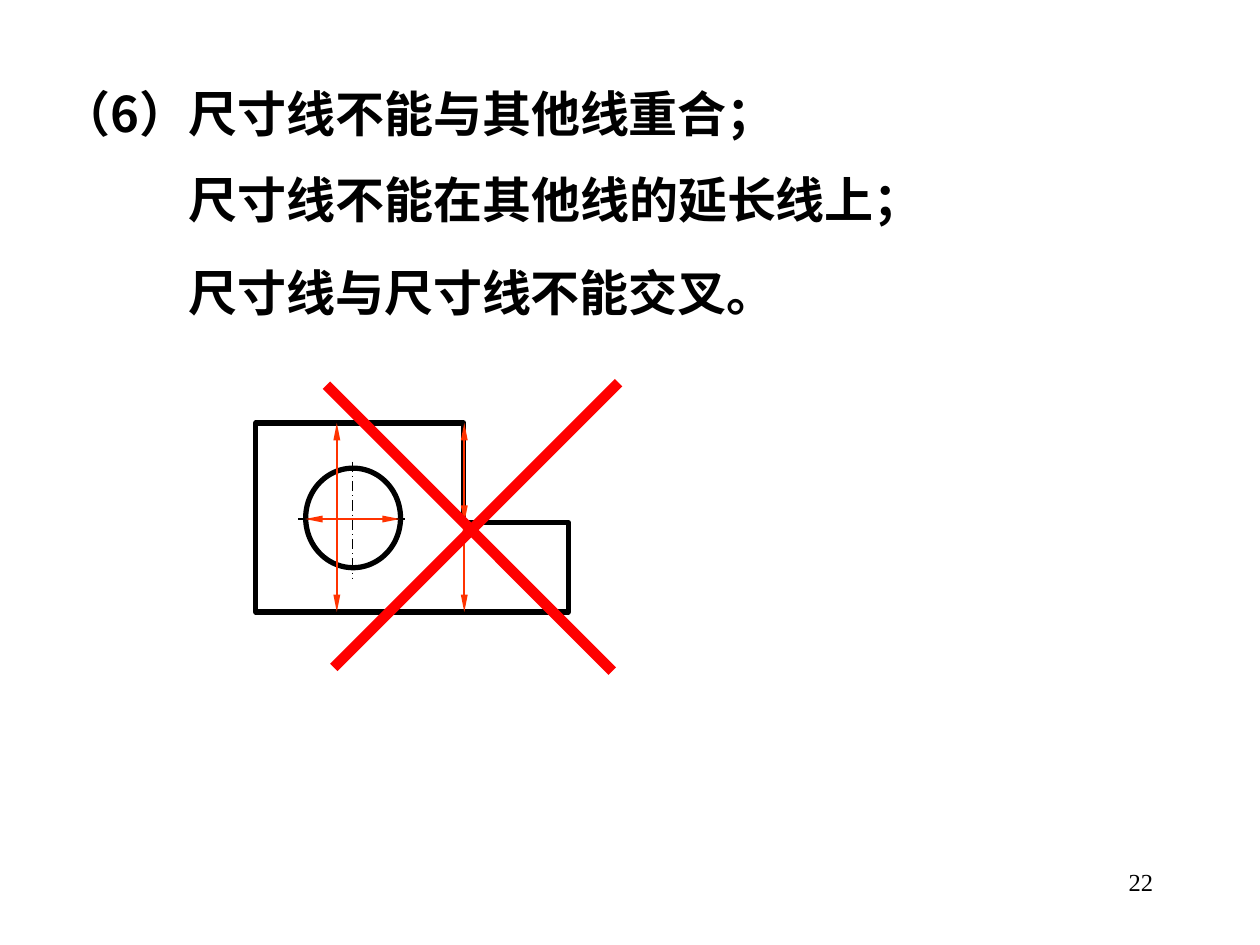
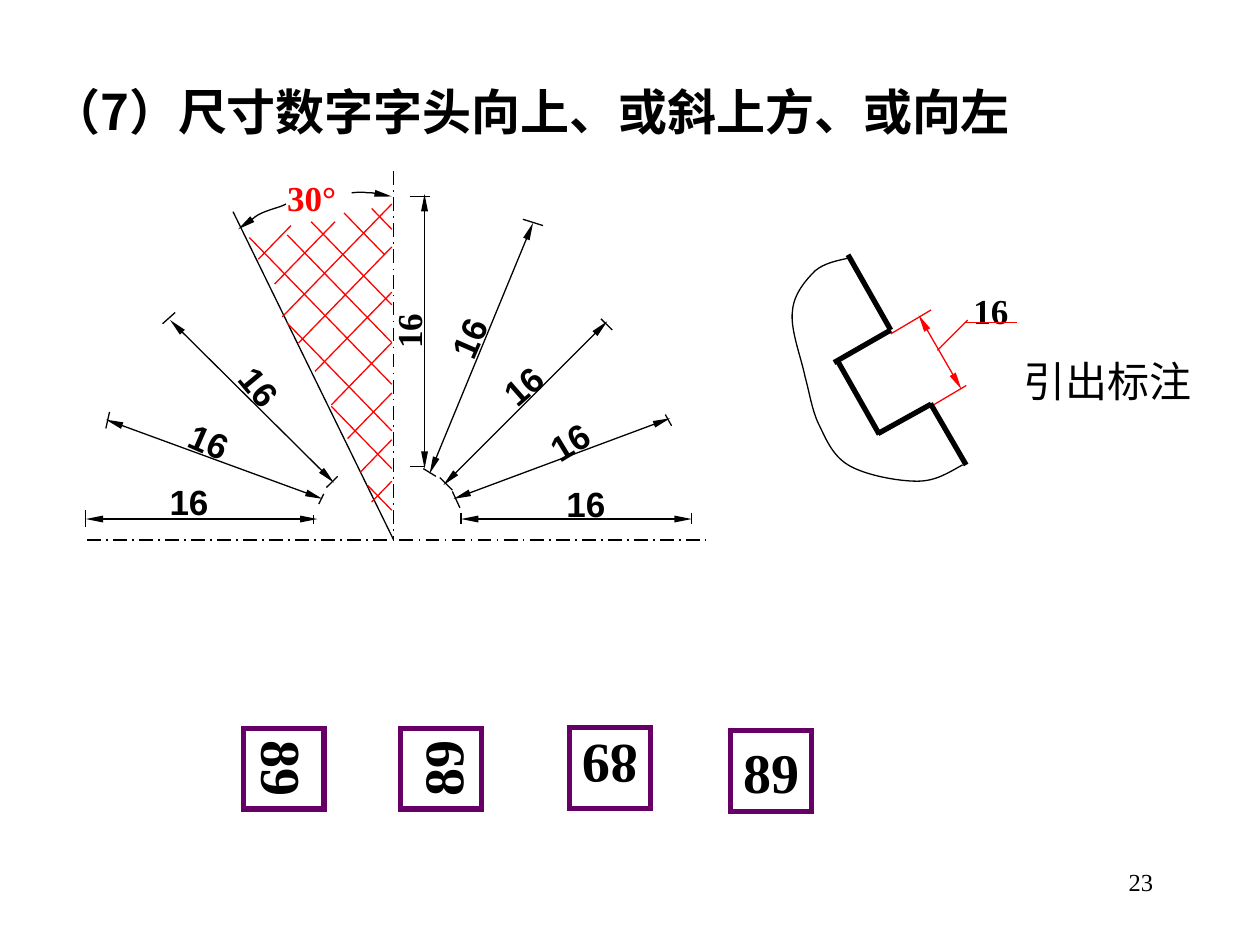
import dataclasses
import typing

import lxml.etree
import pptx
import pptx.dml.color
import pptx.enum.dml
import pptx.enum.shapes
import pptx.enum.text
import pptx.oxml.ns
import pptx.util

Pt = pptx.util.Pt
qn = pptx.oxml.ns.qn
Align = pptx.enum.text.PP_ALIGN
Anchor = pptx.enum.text.MSO_ANCHOR
Preset = pptx.enum.shapes.MSO_SHAPE
Point = tuple[float, float]
Segment = tuple[float, float, float, float]


@dataclasses.dataclass(frozen=True)
class Theme:
    black: str = "000000"
    red: str = "FF0000"
    orange: str = "FF3300"
    purple: str = "660066"
    serif: str = "Times New Roman"
    sans: str = "Arial"
    chinese: str = "Noto Sans CJK SC"
    heading_size: float = 28
    note_size: float = 24
    value_size: float = 20
    number_size: float = 14
    tile_size: float = 32


THEME = Theme()


@dataclasses.dataclass(frozen=True)
class Stroke:
    color: str = THEME.black
    width: float = 0.75
    dashed: bool = False
    mitred: bool = False
    arrows: tuple[str, ...] = ()


@dataclasses.dataclass(frozen=True)
class Lettering:
    size: float
    font: str
    color: str = THEME.black
    bold: bool = True
    align: typing.Any = Align.LEFT
    anchor: typing.Any = Anchor.TOP
    wrap: bool = True


@dataclasses.dataclass(frozen=True)
class Label:
    text: str
    left: float
    top: float
    width: float
    height: float
    lettering: Lettering
    rotation: float = 0


BOTH = ("headEnd", "tailEnd")
THIN = Stroke()
DIMENSION = Stroke(arrows=BOTH)
ARC = Stroke(arrows=("tailEnd",))
OUTLINE = Stroke(width=3)
CENTRE = Stroke(dashed=True)
AXIS = Stroke(width=1, dashed=True)
WRONG_DIMENSION = Stroke(THEME.orange, 1, arrows=BOTH)
CROSS = Stroke(THEME.red, 6)
RED = Stroke(THEME.red)
RED_DIMENSION = Stroke(THEME.red, arrows=BOTH)
FRAME = Stroke(THEME.purple, 3, mitred=True)

HEADING = Lettering(THEME.heading_size, THEME.chinese)
NOTE = Lettering(THEME.note_size, THEME.serif, bold=False)
PAGE_NUMBER = Lettering(THEME.number_size, THEME.serif, bold=False, align=Align.RIGHT)
ANGLE = Lettering(THEME.value_size, THEME.serif, THEME.red)
CENTRED = {"align": Align.CENTER, "anchor": Anchor.MIDDLE, "wrap": False}
SANS_VALUE = Lettering(THEME.value_size, THEME.sans, **CENTRED)
SERIF_VALUE = Lettering(THEME.value_size, THEME.serif, **CENTRED)
TILE = Lettering(THEME.tile_size, THEME.serif, **CENTRED)

HATCH_SLOPE = 1.03
HATCH_RIGHT = 223.9


def apply_format(target: typing.Any, values: dict[str, typing.Any]) -> None:
    for name, value in values.items():
        setattr(target, name, value)


def rgb(color: str) -> pptx.dml.color.RGBColor:
    return pptx.dml.color.RGBColor.from_string(color)


def style_line(shape: typing.Any, stroke: Stroke) -> None:
    line = shape.line
    line.fill.solid()
    line.fill.fore_color.rgb = rgb(stroke.color)
    line.width = Pt(stroke.width)
    if stroke.dashed:
        line.dash_style = pptx.enum.dml.MSO_LINE.LONG_DASH_DOT
    outline = shape._element.spPr.find(qn("a:ln"))
    if stroke.mitred:
        lxml.etree.SubElement(outline, qn("a:miter"), {"lim": "800000"})
    for end in stroke.arrows:
        lxml.etree.SubElement(outline, qn(f"a:{end}"), {"type": "triangle", "w": "sm", "len": "lg"})


def draw_lines(page: typing.Any, segments: typing.Iterable[Segment], stroke: Stroke) -> None:
    for segment in segments:
        connector = page.shapes.add_connector(
            pptx.enum.shapes.MSO_CONNECTOR.STRAIGHT, *map(Pt, segment))
        style_line(connector, stroke)
        lxml.etree.SubElement(connector._element.spPr, qn("a:effectLst"))


def style_outline(shape: typing.Any, stroke: Stroke) -> None:
    shape.shadow.inherit = False
    shape.fill.background()
    style_line(shape, stroke)


def draw_path(page: typing.Any, points: list[Point], stroke: Stroke, closed: bool = False) -> typing.Any:
    corners = [(Pt(x), Pt(y)) for x, y in points]
    builder = page.shapes.build_freeform(*corners[0])
    builder.add_line_segments(corners[1:], close=closed)
    shape = builder.convert_to_shape()
    style_outline(shape, stroke)
    return shape


def draw_curve(page: typing.Any, knots: list[Point], stroke: Stroke) -> None:
    shape = draw_path(page, knots, stroke)
    route = next(shape._element.iter(qn("a:path")))
    steps = route.findall(qn("a:lnTo"))
    for start in range(0, len(steps), 3):
        curve = lxml.etree.SubElement(route, qn("a:cubicBezTo"))
        for step in steps[start:start + 3]:
            curve.append(step[0])
            route.remove(step)


def draw_preset(page: typing.Any, preset: typing.Any, bounds: Segment, stroke: Stroke) -> typing.Any:
    shape = page.shapes.add_shape(preset, *map(Pt, bounds))
    style_outline(shape, stroke)
    return shape


def write_text(box: typing.Any, label: Label) -> None:
    lettering = label.lettering
    box.rotation = label.rotation
    apply_format(box.text_frame, {"word_wrap": lettering.wrap, "vertical_anchor": lettering.anchor})
    para = box.text_frame.paragraphs[0]
    para.alignment = lettering.align
    span = para.add_run()
    span.text = label.text
    apply_format(span.font, {"name": lettering.font, "size": Pt(lettering.size), "bold": lettering.bold})
    span.font.color.rgb = rgb(lettering.color)
    latin = span.font._element.find(qn("a:latin"))
    latin.addnext(lxml.etree.Element(qn("a:ea"), {"typeface": THEME.chinese}))


def draw_label(page: typing.Any, label: Label) -> None:
    box = page.shapes.add_textbox(*map(Pt, (label.left, label.top, label.width, label.height)))
    write_text(box, label)


def add_page(deck: typing.Any, number: int) -> typing.Any:
    page = deck.slides.add_slide(deck.slide_layouts[6])
    draw_label(page, Label(str(number), 516.2, 491.8, 149.8, 36, PAGE_NUMBER))
    return page


def build_overlap_page(deck: typing.Any) -> None:
    page = add_page(deck, 22)
    for text, left, top, width in (
        ("（6）尺寸线不能与其他线重合；", 28.3, 43.9, 473.8),
        ("尺寸线不能在其他线的延长线上；", 100.8, 93.3, 486),
        ("尺寸线与尺寸线不能交叉。", 100.6, 146.2, 370),
    ):
        draw_label(page, Label(text, left, top, width, 41, HEADING))

    left, step, right = 146.2, 265, 324.7
    top, ledge, bottom = 241.7, 298.7, 349.7
    draw_lines(page, [(170.4, 296.6, 233.1, 296.6), (201.6, 263.8, 201.6, 330.7)], CENTRE)
    draw_path(page, [(step, top), (left, top), (left, bottom), (right, bottom),
                     (right, ledge), (step, ledge)], OUTLINE, closed=True)
    draw_preset(page, Preset.OVAL, (174.7, 267.5, 54.2, 56.9), OUTLINE)
    draw_lines(page, [(174.4, 296.6, 228.5, 296.6), (192.5, top, 192.5, bottom),
                      (265.3, ledge, 265.3, bottom), (265.3, top, 265.3, ledge)], WRONG_DIMENSION)
    draw_lines(page, [(353.5, 218.7, 190.8, 381.4), (186.5, 220.1, 349.9, 383.5)], CROSS)


def draw_notched_part(page: typing.Any) -> None:
    draw_label(page, Label("16", 548.9, 161.6, 34.6, 31.7, SERIF_VALUE))
    draw_lines(page, [(509, 190.8, 532.1, 177.1), (531.4, 232.6, 552.2, 220.3)], RED)
    draw_lines(page, [(524.9, 180, 549.4, 222.5)], RED_DIMENSION)
    draw_lines(page, [(535.7, 200.2, 553, 182.9), (552.2, 184.5, 581, 184.5)], RED)
    draw_lines(page, [(484.6, 145.6, 509, 188.6), (509, 188.6, 476.6, 207.2)], OUTLINE)
    draw_path(page, [(478.8, 206.6), (502.4, 248.2)], OUTLINE)
    draw_lines(page, [(531.7, 230.6, 552.1, 265.7)], OUTLINE)
    draw_path(page, [(532.1, 230.9), (501.8, 247.7)], OUTLINE)
    draw_curve(page, [
        (484.6, 147.6), (478.1, 149), (470.9, 150.5), (465.8, 154.8),
        (460.8, 159.8), (453.6, 167.8), (452.9, 177.8),
        (451.4, 187.9), (457.9, 204.5), (460.1, 215.3),
        (463, 226.1), (463.7, 232.6), (467.3, 241.2),
        (471.6, 249.8), (475.2, 259.9), (484.6, 265.7),
        (493.9, 271.4), (512.6, 275), (524.2, 275),
        (535, 275), (542.2, 270), (550.1, 265.7),
    ], THIN)


def draw_hatching(page: typing.Any) -> None:
    edge = HATCH_RIGHT
    rising = [(edge, 141.1, 53.3), (edge, 116.6, 62.6), (191.5, 126.7, 34.6),
              (166.3, 128.9, 18.7), (edge, 167, 43.9), (edge, 195.8, 34.6),
              (edge, 224.6, 25.2), (edge, 251.3, 18), (edge, 275, 11.5)]
    falling = [(edge, 219.6, 81.4), (edge, 246.2, 59.8), (edge, 267.8, 34.6),
               (edge, 291.6, 13.7), (edge, 195.8, 59.8), (edge, 174.2, 46.1),
               (219.6, 145.4, 23), (edge, 131, 11.5)]
    for strokes, slope in ((rising, HATCH_SLOPE), (falling, -HATCH_SLOPE)):
        draw_lines(page, [(x, y, x - run, y + slope * run) for x, y, run in strokes], RED)


def draw_fan(page: typing.Any) -> None:
    base, axis = 308.4, 224.9
    draw_lines(page, [(190.8, 275.8, 97.2, 182.9)], DIMENSION)
    draw_lines(page, [(49.7, base, 403.2, base), (axis, 97.9, axis, base)], AXIS)
    draw_lines(page, [
        (263.5, 296.6, 395.3, 296.6), (253.4, 277.2, 347, 183.6),
        (259.2, 285.1, 383, 239), (242.6, 267.8, 242.6, 110.9),
        (245.5, 270.7, 304.6, 127.4), (49, 296.6, 181.4, 296.6),
        (184.3, 285.1, 60.5, 239.8),
    ], DIMENSION)
    draw_lines(page, [
        (axis, base, 133.2, 121),
        (395.3, 293, 395.3, 299.5), (263.5, 293, 263.5, 299.5),
        (380.2, 236.9, 383.8, 243.4), (258.5, 280.8, 262.8, 290.2),
        (343.4, 182.2, 349.9, 188.6), (251.3, 272.9, 258.5, 280.1),
        (298.8, 125.3, 310.3, 128.9), (241.9, 267.8, 249.1, 272.2),
        (234, 112.3, 245.5, 112.3), (242.6, 266.4, 234, 266.4),
        (193, 272.2, 186.5, 278.6), (92.9, 185, 100.1, 178.6),
        (185, 282.2, 182.2, 288), (62.6, 235.4, 60.5, 244.8),
        (49, 291.6, 49, 301), (179.3, 294.5, 179.3, 299.5),
    ], THIN)
    draw_label(page, Label("30°", 157, 97.2, 62.6, 31.7, ANGLE))
    for knots in (
        [(163.4, 116.6), (161.3, 118.1), (154.8, 119.5), (149.8, 121.7),
         (145.4, 123.8), (139, 129.6), (136.1, 131)],
        [(200.9, 110.2), (202.3, 110.2), (206.6, 109.4), (210.2, 110.2),
         (213.8, 110.2), (221, 111.6), (223.9, 112.3)],
    ):
        draw_curve(page, knots, ARC)
    draw_hatching(page)
    for left, top, rotation, lettering in (
        (129.6, 205.2, 50.2, SANS_VALUE), (100.8, 236.2, 23.7, SANS_VALUE),
        (216, 173.5, 270, SERIF_VALUE), (249.1, 177.1, 293.3, SANS_VALUE),
        (280.1, 204.5, 318.8, SANS_VALUE), (306.7, 236.2, 328.8, SANS_VALUE),
        (89.3, 270.7, 0, SANS_VALUE), (316.1, 271.8, 0, SANS_VALUE),
    ):
        width = 37.4 if lettering is SANS_VALUE else 34.6
        draw_label(page, Label("16", left, top, width, 31.7, lettering, rotation))


def build_direction_page(deck: typing.Any) -> None:
    page = add_page(deck, 23)
    draw_notched_part(page)
    draw_fan(page)
    draw_label(page, Label("引出标注", 577.8, 199.4, 120.2, 36, NOTE))
    draw_label(page, Label("（7）尺寸数字字头向上、或斜上方、或向左", 22.3, 42.9, 587.5, 41, HEADING))
    side = 46.1
    for left, top, rotation in ((139, 416.2, 90), (325.4, 415.8, 180),
                                (417.6, 417.6, 0), (229, 416.2, 270)):
        tile = draw_preset(page, Preset.RECTANGLE, (left, top, side, side), FRAME)
        write_text(tile, Label("89", left, top, side, side, TILE, rotation))


def main() -> None:
    deck = pptx.Presentation()
    apply_format(deck, {"slide_width": Pt(720), "slide_height": Pt(540)})
    build_overlap_page(deck)
    build_direction_page(deck)
    deck.save("out.pptx")


if __name__ == "__main__":
    main()
